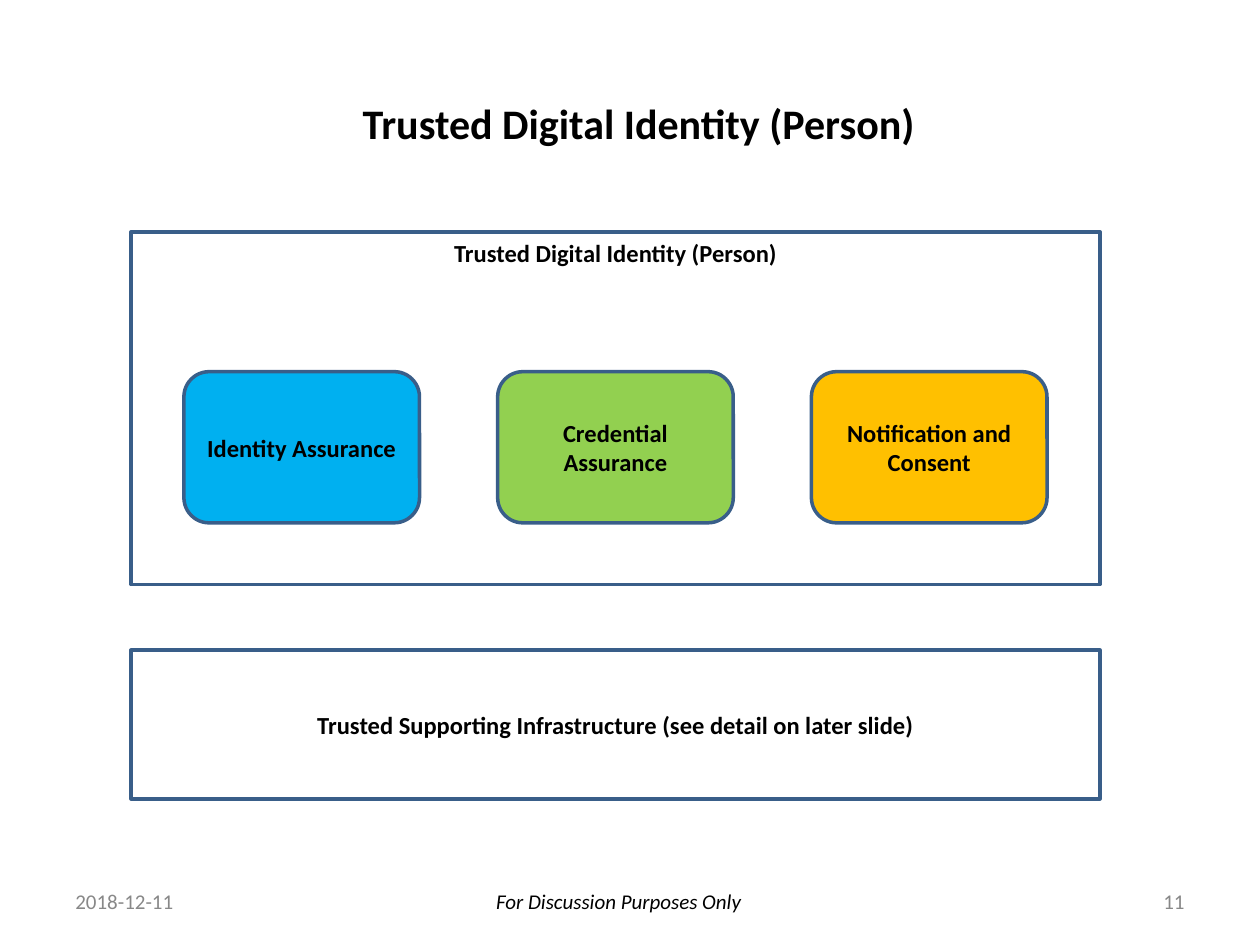
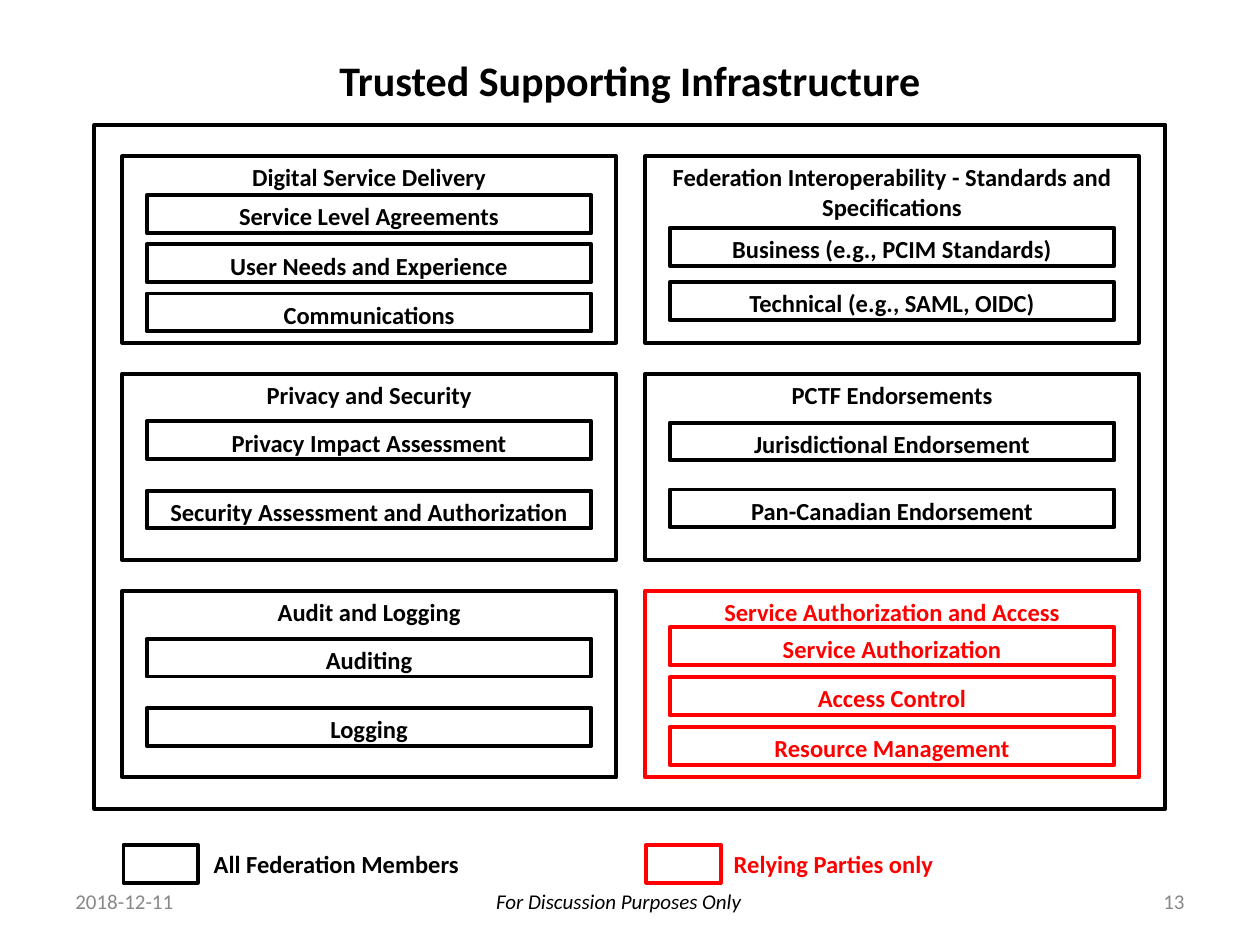
from dataclasses import dataclass

from pptx import Presentation
from pptx.dml.color import RGBColor
from pptx.enum.shapes import MSO_SHAPE
from pptx.enum.text import MSO_ANCHOR, MSO_AUTO_SIZE, PP_ALIGN
from pptx.util import Inches, Pt

RECT, ROUNDED = MSO_SHAPE.RECTANGLE, MSO_SHAPE.ROUNDED_RECTANGLE
TOP, MIDDLE = MSO_ANCHOR.TOP, MSO_ANCHOR.MIDDLE
LEFT, CENTER, RIGHT = PP_ALIGN.LEFT, PP_ALIGN.CENTER, PP_ALIGN.RIGHT
NO_AUTOFIT = MSO_AUTO_SIZE.NONE

COLUMNS, ROWS = 100, 75
UNIT = Inches(0.1)
TITLE_ONLY = 5


class Theme:
    font = "Calibri"
    black, white, red = "000000", "FFFFFF", "FF0000"
    grey, navy = "888888", "395E89"
    blue, green, amber = "00B0F0", "92D050", "FFC000"
    title = {"size": Pt(24), "bold": True}
    label = {"size": Pt(14), "bold": True}
    footer = {"size": Pt(12), "bold": False}
    notice = {"size": Pt(12), "bold": False, "italic": True}
    thin, thick = Pt(2), Pt(2.25)


@dataclass
class Box:
    """A rectangle in grid columns and rows."""
    left: float
    top: float
    width: float
    height: float

    def inner(self, left, top, width, height):
        return Box(self.left + left, self.top + top, width, height)

    def place(self):
        return [round(n * UNIT) for n in
                (self.left, self.top, self.width, self.height)]


PAGE = Box(0, 0, COLUMNS, ROWS)

CARDS = [
    ("Identity Assurance", Theme.blue),
    ("Credential Assurance", Theme.green),
    ("Notification and Consent", Theme.amber),
]

# Panel heading, colour, top of the first item, step between items, items
PANELS = [
    [
        ("Digital Service Delivery", Theme.black, 3.1, 3.9,
         ["Service Level Agreements", "User Needs and Experience",
          "Communications"]),
        ("Federation Interoperability - Standards and Specifications",
         Theme.black, 5.7, 4.3,
         ["Business (e.g., PCIM Standards)", "Technical (e.g., SAML, OIDC)"]),
    ],
    [
        ("Privacy and Security", Theme.black, 3.8, 5.5,
         ["Privacy Impact Assessment",
          "Security Assessment and Authorization"]),
        ("PCTF Endorsements", Theme.black, 3.9, 5.3,
         ["Jurisdictional Endorsement", "Pan-Canadian Endorsement"]),
    ],
    [
        ("Audit and Logging", Theme.black, 3.8, 5.5,
         ["Auditing", "Logging"]),
        ("Service Authorization and Access", Theme.red, 2.9, 3.95,
         ["Service Authorization", "Access Control", "Resource Management"]),
    ],
]


def write(shape, text, style, color=Theme.black, align=CENTER, anchor=MIDDLE):
    frame = shape.text_frame
    settings = {"word_wrap": True, "auto_size": NO_AUTOFIT,
                "vertical_anchor": anchor,
                "margin_left": UNIT, "margin_right": UNIT,
                "margin_top": UNIT // 2, "margin_bottom": UNIT // 2}
    for name, value in settings.items():
        setattr(frame, name, value)
    para = frame.paragraphs[0]
    para.alignment = align
    span = para.add_run()
    span.text = text
    for name, value in {"name": Theme.font, **style}.items():
        setattr(span.font, name, value)
    span.font.color.rgb = RGBColor.from_string(color)


def add_text(slide, box, text, style, color=Theme.black, align=CENTER):
    write(slide.shapes.add_textbox(*box.place()), text, style, color, align)


def add_box(slide, box, line, weight, fill=None, kind=RECT):
    shape = slide.shapes.add_shape(kind, *box.place())
    shape.shadow.inherit = False
    if fill:
        shape.fill.solid()
        shape.fill.fore_color.rgb = RGBColor.from_string(fill)
    else:
        shape.fill.background()
    shape.line.color.rgb = RGBColor.from_string(line)
    shape.line.width = weight
    return shape


def add_page(deck, title, title_box, number):
    """Add a slide with the shared title style and footer."""
    slide = deck.slides.add_slide(deck.slide_layouts[TITLE_ONLY])
    heading = slide.shapes.title
    heading.left, heading.top, heading.width, heading.height = title_box.place()
    write(heading, title, Theme.title)

    footer = PAGE.inner(5, 69.5, 90, 4)
    add_text(slide, footer.inner(0, 0, 23.3, 4), "2018-12-11",
             Theme.footer, Theme.grey, LEFT)
    add_text(slide, footer.inner(26.5, 0, 35.2, 4),
             "For Discussion Purposes Only", Theme.notice)
    add_text(slide, footer.inner(66.7, 0, 23.3, 4), number,
             Theme.footer, Theme.grey, RIGHT)
    return slide


def add_cards(slide, box):
    """Spread the assurance cards evenly over the box."""
    width = 18.7
    step = (box.width - width) / (len(CARDS) - 1)
    for index, (label, fill) in enumerate(CARDS):
        card = add_box(slide, box.inner(index * step, 0, width, box.height),
                       Theme.navy, Theme.thin, fill, ROUNDED)
        write(card, label, Theme.label)


def add_identity_slide(deck):
    title = "Trusted Digital Identity (Person)"
    slide = add_page(deck, title, PAGE.inner(9.8, 7.2, 81.8, 5), "11")
    body = PAGE.inner(10.4, 18.4, 76.9, 45)
    frames = [
        (body.inner(0, 0, body.width, 28), title, TOP),
        (body.inner(0, 33.2, body.width, 11.8),
         "Trusted Supporting Infrastructure (see detail on later slide)",
         MIDDLE),
    ]
    for box, label, anchor in frames:
        frame = add_box(slide, box, Theme.navy, Theme.thin)
        write(frame, label, Theme.label, anchor=anchor)
    margin = 4.2
    add_cards(slide, body.inner(margin, 11.1, body.width - 2 * margin, 12))


def add_panel(slide, box, heading, color, first, step, items):
    item_width, item_height = 35.3, 3
    margin = (box.width - item_width) / 2
    parts = [(box, heading)]
    parts += [(box.inner(margin, first + row * step, item_width, item_height),
               item) for row, item in enumerate(items)]
    for place, label in parts:
        shape = add_box(slide, place, color, Theme.thick, Theme.white)
        write(shape, label, Theme.label, color, anchor=TOP)


def add_legend(slide, box):
    entries = [
        (0, 22, "All Federation Members", Theme.black),
        (41.5, 17.9, "Relying Parties only", Theme.red),
    ]
    for left, width, label, color in entries:
        add_box(slide, box.inner(left, 0.2, 5.9, 3), color, Theme.thick,
                Theme.white)
        add_text(slide, box.inner(left + 5.9, 0, width, box.height), label,
                 Theme.label, color)


def add_infrastructure_slide(deck):
    slide = add_page(deck, "Trusted Supporting Infrastructure",
                     PAGE.inner(9.1, 3.8, 81.8, 5), "13")
    frame = PAGE.inner(7.5, 9.9, 85, 54.3)
    add_box(slide, frame, Theme.black, Theme.thick, Theme.white)
    for row, panels in enumerate(PANELS):
        for column, panel in enumerate(panels):
            box = frame.inner(2.2 + column * 41.5, 2.5 + row * 17.25,
                              39.2, 14.8)
            add_panel(slide, box, *panel)
    add_legend(slide, PAGE.inner(9.8, 66.85, 80, 3.4))


def main():
    deck = Presentation()
    deck.slide_width, deck.slide_height = COLUMNS * UNIT, ROWS * UNIT
    add_identity_slide(deck)
    add_infrastructure_slide(deck)
    deck.save("out.pptx")


if __name__ == "__main__":
    main()
